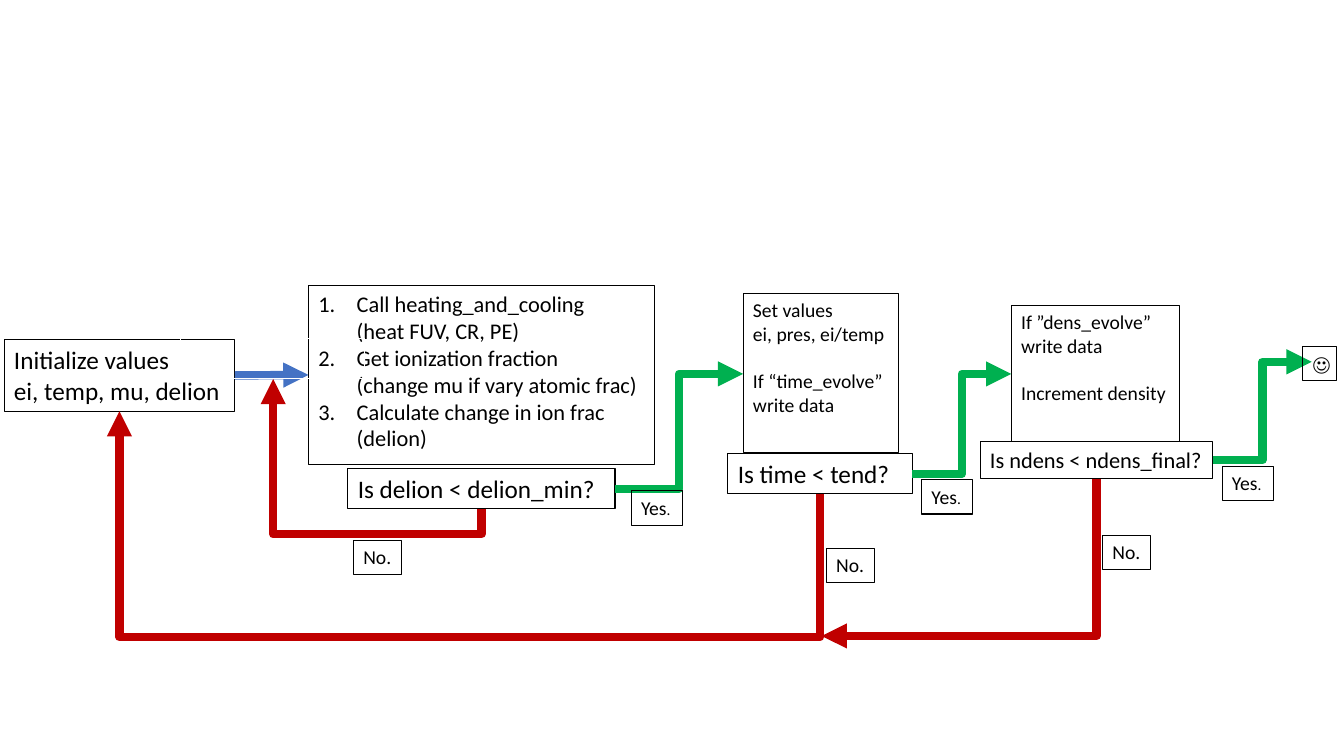
from dataclasses import dataclass
from lxml import etree
from pptx import Presentation
from pptx import util as u
from pptx.dml.color import RGBColor
from pptx.enum import shapes, text
from pptx.oxml.ns import qn

COLS, ROWS = 133.3, 75
CELL = u.Inches(0.1)


@dataclass(frozen=True)
class Theme:
    """Colours, type sizes and line widths of the slide."""
    font: str = "Calibri"
    ink: str = "000000"
    paper: str = "FFFFFF"
    go: str = "4472C4"
    yes: str = "00B050"
    no: str = "C00000"
    large: int = 18
    mid: int = 16
    small: int = 14
    dot: int = 11
    thin: float = 0.75
    thick: float = 6


@dataclass(frozen=True)
class Box:
    """A rectangle in grid columns and rows."""
    x: float
    y: float
    w: float
    h: float

    def place(self, x, y, w, h):
        """Give a box placed relative to this one."""
        return Box(self.x + x, self.y + y, w, h)

    def spot(self, across, down):
        """Give the point at these shares of the width and height."""
        return self.x + across * self.w, self.y + down * self.h


THEME = Theme()


def grid(*cells):
    """Turn grid cells into lengths."""
    return [u.Emu(round(n * CELL)) for n in cells]


def style(run, size):
    """Set the font, size and colour of a run."""
    run.font.name = THEME.font
    run.font.size = u.Pt(size)
    run.font.color.rgb = RGBColor.from_string(THEME.ink)


def frame(slide, box, words="", size=THEME.small, edge=THEME.ink, gap=0):
    """Draw an outlined box with one paragraph per line of words."""
    shape = slide.shapes.add_shape(shapes.MSO_SHAPE.RECTANGLE,
                                   *grid(box.x, box.y, box.w, box.h))
    shape.shadow.inherit = False
    shape.fill.background()
    shape.line.color.rgb = RGBColor.from_string(edge)
    shape.line.width = u.Pt(THEME.thin)
    body = shape.text_frame
    body.word_wrap = True
    body.margin_right = 0
    body.vertical_anchor = text.MSO_ANCHOR.TOP
    body.text = words
    for i, para in enumerate(body.paragraphs):
        para.alignment = text.PP_ALIGN.LEFT
        if i and gap:
            para.space_before = u.Pt(gap)
        for run in para.runs:
            style(run, size)
    return body


def count(body):
    """Number the paragraphs with a hanging indent."""
    for para in body.paragraphs:
        props = para._p.get_or_add_pPr()
        props.set("marL", str(u.Inches(0.38)))
        props.set("indent", str(u.Inches(-0.38)))
        etree.SubElement(props, qn("a:buAutoNum"), type="arabicPeriod")


def arrow(slide, start, end, color, kind=shapes.MSO_CONNECTOR.ELBOW):
    """Draw a thick arrow between two grid points."""
    link = slide.shapes.add_connector(kind, *grid(*start, *end))
    link.line.color.rgb = RGBColor.from_string(color)
    link.line.width = u.Pt(THEME.thick)
    props = link._element.spPr
    etree.SubElement(props.find(qn("a:ln")), qn("a:tailEnd"), type="triangle")
    etree.SubElement(props, qn("a:effectLst"))
    return link


def back(slide, start, end, drop=0):
    """Draw an arrow that leaves downwards and returns to the left.

    With a drop it goes that far below the start and then rises to the end.
    """
    run, rise = start[0] - end[0], abs(end[1] - start[1])
    left = (start[0] + end[0] - rise) / 2
    top = (start[1] + end[1] - run) / 2
    near, far = (left, top), (left + rise, top + run)
    if drop:
        near, far = (left + rise, top), (left, top + run)
    link = arrow(slide, near, far, THEME.no)
    props = link._element.spPr
    props.find(qn("a:xfrm")).set("rot", str(90 * 60000))
    shape = props.find(qn("a:prstGeom"))
    if drop:
        etree.SubElement(shape.find(qn("a:avLst")), qn("a:gd"), name="adj1",
                         fmla=f"val {round(-drop / rise * 100000)}")
    else:
        shape.set("prst", "bentConnector2")


def begin(slide, box, goal):
    """Draw the starting box and its arrow to the goal."""
    frame(slide, box, "Initialize values\nei, temp, mu, delion", THEME.large)
    arrow(slide, box.spot(1, 0.5), goal, THEME.go, shapes.MSO_CONNECTOR.STRAIGHT)


def stage(slide, box, card, ask, tasks, query, size, gap=0, steps=False):
    """Draw a task card with its question below; return the question's box."""
    body = frame(slide, box.place(*card), tasks,
                 THEME.mid if steps else THEME.small, gap=gap)
    if steps:
        count(body)
    spot = box.place(*ask)
    frame(slide, spot, query, size)
    return spot


def accept(slide, ask, goal, shift):
    """Draw the green way out of a question, with its label."""
    start = ask.spot(1, 0.5)
    arrow(slide, start, goal, THEME.yes)
    body = frame(slide, Box(*start, 0, 0).place(*shift, 5.1, 3.4), "Yes")
    dot = body.paragraphs[0].add_run()
    dot.text = "."
    style(dot, THEME.dot)


def reject(slide, ask, goal, shift, drop=0):
    """Draw the red way back from a question, with its label."""
    start = ask.spot(0.5, 1)
    back(slide, start, goal, drop)
    frame(slide, Box(*start, 0, 0).place(*shift, 4.8, 3.4), "No.")


def build(slide):
    """Lay out the whole flow chart."""
    first = Box(0.4, 33.7, 22.9, 7.1)
    begin(slide, first, (30.6, 37.2))
    ion = stage(slide, Box(30.6, 28.3, 34.3, 22.2), (0, 0, 34.3, 17.8),
                (3.9, 18.2, 26.5, 4),
                "Call heating_and_cooling\v(heat FUV, CR, PE)\n"
                "Get ionization fraction\v(change mu if vary atomic frac)\n"
                "Calculate change in ion frac\v(delion)",
                "Is delion < delion_min?", THEME.large, steps=True)
    time = stage(slide, Box(72.2, 29.1, 18.3, 19.9), (1.5, 0, 15.4, 15.8),
                 (0, 15.9, 18.3, 4),
                 "Set values\vei, pres, ei/temp\n"
                 "If “time_evolve”\vwrite data",
                 "Is time < tend?", THEME.large, gap=17)
    dens = stage(slide, Box(97.2, 30.3, 23.1, 17.2), (3.1, 0, 16.7, 13.5),
                 (0, 13.5, 23.1, 3.7),
                 "If ”dens_evolve”\vwrite data\nIncrement density",
                 "Is ndens < ndens_final?", THEME.mid, gap=17)
    accept(slide, ion, (73.7, 37.1), (1.6, 0.2))
    accept(slide, time, (100.3, 37.1), (0.9, 0.6))
    accept(slide, dens, (130.1, 35.9), (0.9, 0.6))
    reject(slide, ion, (27.1, 37.6), (-12.7, 3.1), drop=2.5)
    frame(slide, Box(17.9, 33.6, 18.3, 4), edge=THEME.paper)
    reject(slide, time, first.spot(0.5, 1), (0.6, 5.4), drop=14.2)
    reject(slide, dens, (81.5, 63.1), (0.6, 5.6))
    frame(slide, Box(129.2, 34.4, 3.4, 3.4), "☺")


deck = Presentation()
deck.slide_width, deck.slide_height = grid(COLS, ROWS)
build(deck.slides.add_slide(deck.slide_layouts[6]))
deck.save("out.pptx")
